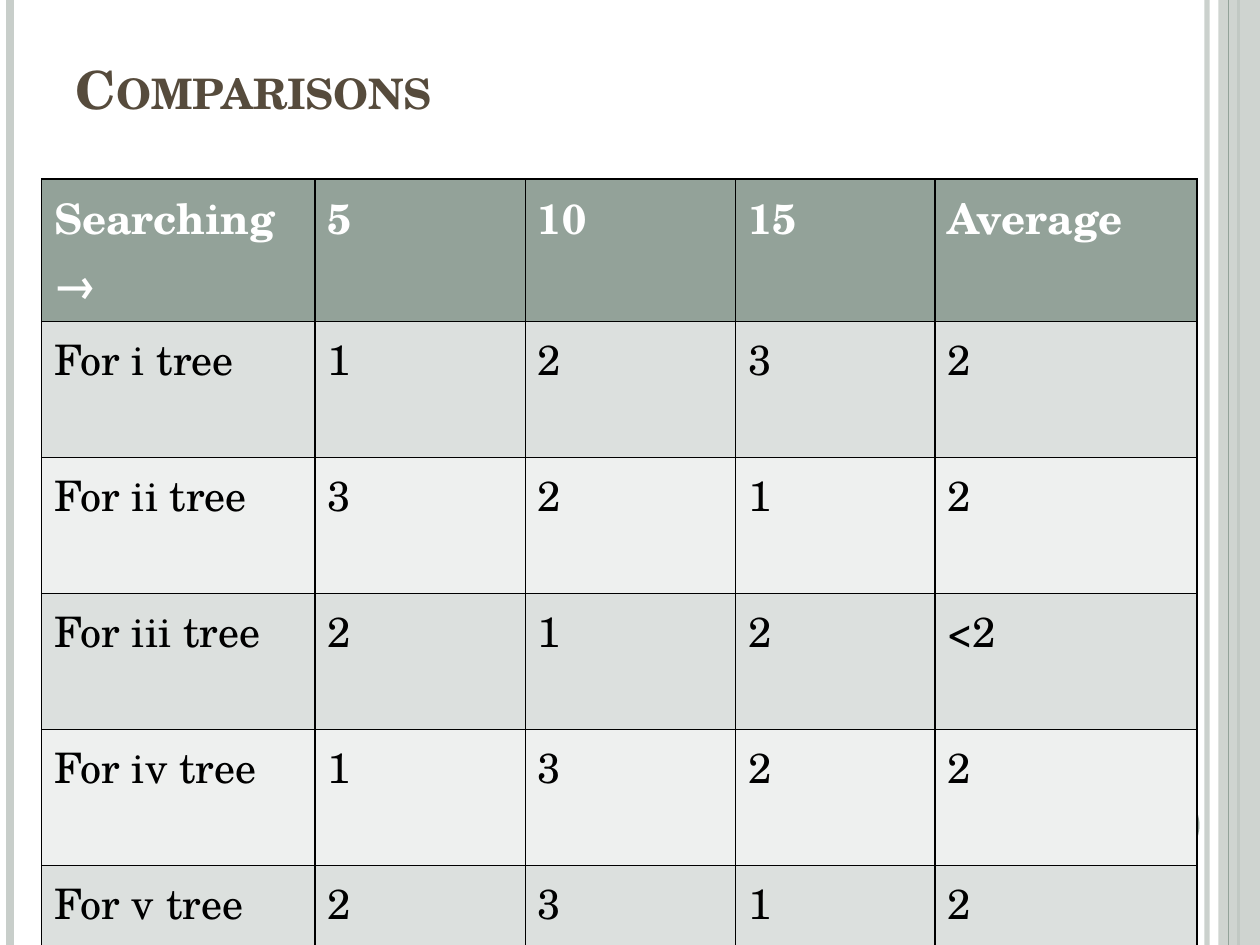
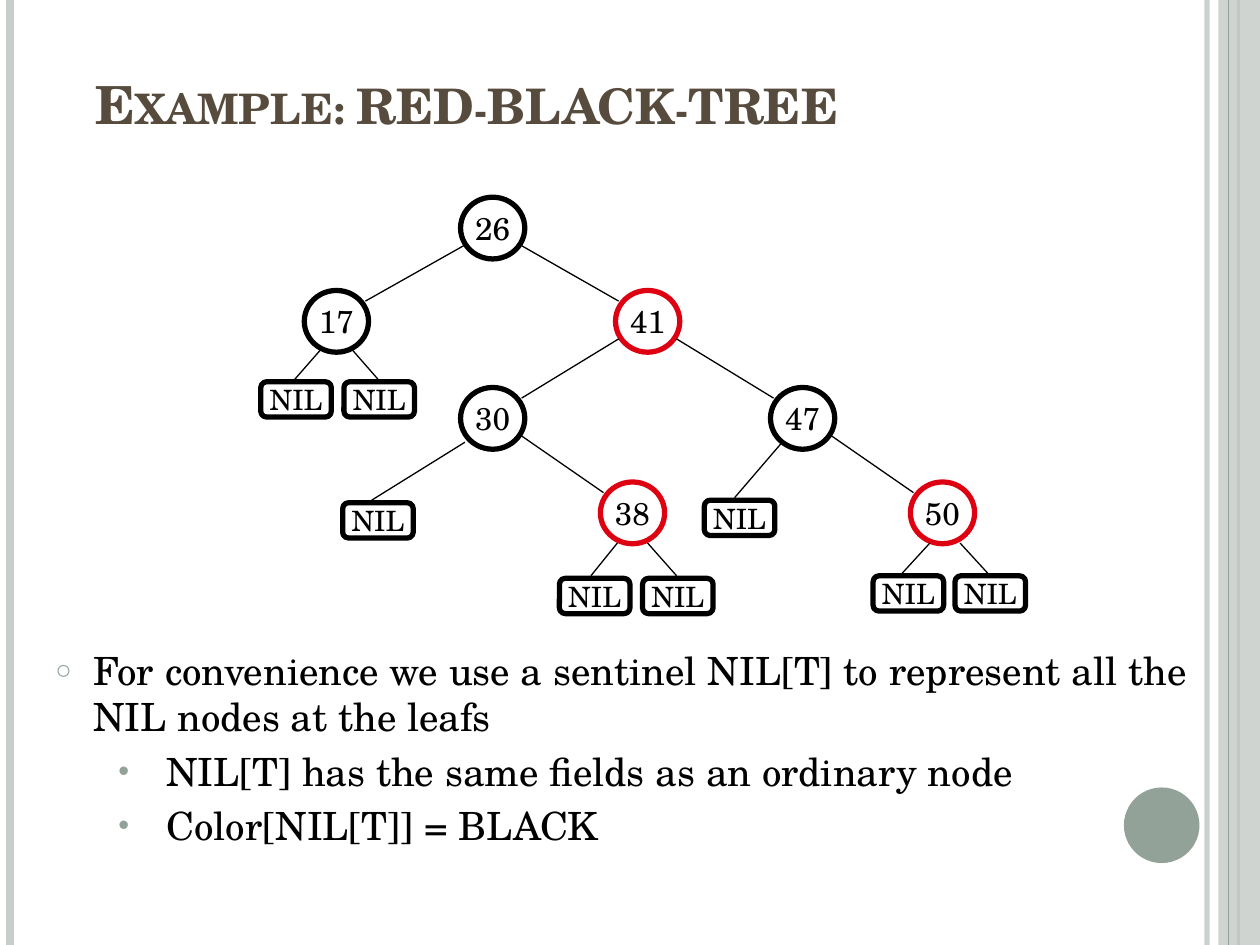
from lxml import etree
from pptx import Presentation
from pptx.dml.color import RGBColor
from pptx.enum.shapes import MSO_CONNECTOR, MSO_SHAPE
from pptx.enum.text import MSO_ANCHOR, MSO_AUTO_SIZE, PP_ALIGN
from pptx.oxml.ns import qn
from pptx.util import Inches, Pt

STRAIGHT = MSO_CONNECTOR.STRAIGHT
RECT = MSO_SHAPE.RECTANGLE
OVAL = MSO_SHAPE.OVAL
ROUNDED = MSO_SHAPE.ROUNDED_RECTANGLE
LEFT, CENTER = PP_ALIGN.LEFT, PP_ALIGN.CENTER
MIDDLE, BOTTOM = MSO_ANCHOR.MIDDLE, MSO_ANCHOR.BOTTOM
NO_FIT = MSO_AUTO_SIZE.NONE

FONT = "TeX Gyre Schola"
BLACK = RGBColor(0x00, 0x00, 0x00)
WHITE = RGBColor(0xFF, 0xFF, 0xFF)
RED = RGBColor(0xDD, 0x01, 0x11)
BROWN = RGBColor(0x56, 0x4B, 0x3C)
SAGE = RGBColor(0x93, 0xA2, 0x99)
MIST = RGBColor(0xC8, 0xCE, 0xCA)
BAND_DARK = RGBColor(0xDC, 0xE0, 0xDE)
BAND_LIGHT = RGBColor(0xEE, 0xF0, 0xEF)

SLIDE_W, SLIDE_H = 10, 7.5
TITLE_ONLY, TITLE_AND_BODY = 5, 1

COLUMN_WIDTHS = [2.17, 1.67, 1.67, 1.58, 2.08]
HEADER_HEIGHT, ROW_HEIGHT = 1.13, 1.08
COMPARISONS = [
    ["Searching→", "5", "10", "15", "Average"],
    ["For i tree", "1", "2", "3", "2"],
    ["For ii tree", "3", "2", "1", "2"],
    ["For iii tree", "2", "1", "2", "<2"],
    ["For iv tree", "1", "3", "2", "2"],
    ["For v tree", "2", "3", "1", "2"],
]

# Tree nodes: key -> centre within the tree's box, outline colour, parent
NODE_SIZE, LEAF_SIZE = (0.51, 0.49), (0.56, 0.28)
NODES = {
    "26": (1.84, 0.24, BLACK, None),
    "17": (0.6, 0.98, BLACK, "26"),
    "41": (3.07, 0.98, RED, "26"),
    "30": (1.84, 1.75, BLACK, "41"),
    "47": (4.3, 1.75, BLACK, "41"),
    "38": (2.95, 2.5, RED, "30"),
    "50": (5.41, 2.5, RED, "47"),
}
# Where an edge leaves its parent and meets its child, from their centres
EDGE_OUT, EDGE_IN = (0.23, 0.14), (0.23, 0.16)
# NIL leaves: centre, parent, edge start from the parent's centre, edge end x
LEAVES = [
    (0.28, 1.6, "17", (-0.12, 0.22), -0.33), (0.94, 1.6, "17", (0.12, 0.22), 0.33),
    (0.93, 2.56, "30", (-0.22, 0.19), -0.96),
    (2.65, 3.16, "38", (-0.12, 0.24), -0.33), (3.31, 3.16, "38", (0.12, 0.24), 0.35),
    (3.8, 2.54, "47", (-0.17, 0.2), -0.54),
    (5.14, 3.14, "50", (-0.1, 0.24), -0.32), (5.79, 3.14, "50", (0.14, 0.24), 0.36),
]

# Sentinel notes: text, level, left margin, hanging, space before, bullet, bullet size
NOTES = [
    ("For convenience we use a sentinel NIL[T] to represent all the NIL nodes at the leafs",
     0, 0.3, 0.3, 6, "○", 70),
    ("NIL[T] has the same fields as an ordinary node", 1, 0.88, 0.38, 4.4, "•", 80),
    ("Color[NIL[T]] = BLACK", 1, 0.88, 0.38, 4.4, "•", 80),
]


def style(font, size, color=BLACK, bold=False):
    font.name, font.size, font.bold = FONT, Pt(size), bold
    font.color.rgb = color


def place(shape, box):
    shape.left, shape.top, shape.width, shape.height = map(Inches, box)


def set_opacity(element, percent):
    color = element.find(".//" + qn("a:srgbClr"))
    etree.SubElement(color, qn("a:alpha"), val=str(percent * 1000))


def add_line(slide, start, end, color, width):
    line = slide.shapes.add_connector(STRAIGHT, *map(Inches, (*start, *end)))
    line.line.color.rgb = color
    line.line.width = Pt(width)
    etree.SubElement(line.element.spPr, qn("a:effectLst"))
    return line


def add_plain_shape(slide, kind, box, fill=None):
    shape = slide.shapes.add_shape(kind, *map(Inches, box))
    shape.shadow.inherit = False
    if fill is None:
        shape.fill.background()
    else:
        shape.fill.solid()
        shape.fill.fore_color.rgb = fill
        shape.line.fill.background()
    return shape


def add_rule(slide, x, color, width):
    return add_line(slide, (x, 0), (x, SLIDE_H), color, width)


def add_frame(slide):
    """Side rules, right band and corner disc shared by all slides."""
    inner_rule = add_rule(slide, 9.58, MIST, 3)
    set_opacity(inner_rule.element, 93)
    add_rule(slide, 0.08, MIST, 4.5)
    add_rule(slide, 9.83, SAGE, 1.5)
    band = add_plain_shape(slide, RECT, (9.67, 0, 0.33, SLIDE_H), MIST)
    set_opacity(band.element, 87)
    add_rule(slide, 9.75, SAGE, 0.75)
    add_plain_shape(slide, OVAL, (8.92, 6.25, 0.6, 0.6), SAGE)


def set_title(slide, box, parts):
    """Small-caps heading built from (text, size) parts."""
    title = slide.shapes.title
    place(title, box)
    frame = title.text_frame
    frame.auto_size, frame.vertical_anchor = NO_FIT, BOTTOM
    heading = frame.paragraphs[0]
    heading.alignment = LEFT
    for text, size in parts:
        run = heading.add_run()
        run.text = text
        style(run.font, size, BROWN, True)
        run.font._element.set("cap", "small")


def add_cell_borders(cell):
    properties = cell._tc.get_or_add_tcPr()
    for side in ("lnL", "lnR", "lnT", "lnB"):
        border = etree.SubElement(properties, qn("a:" + side), w=str(Pt(1)))
        fill = etree.SubElement(border, qn("a:solidFill"))
        etree.SubElement(fill, qn("a:srgbClr"), val=str(BLACK))


def add_comparison_table(slide, left, top):
    heights = [HEADER_HEIGHT] + [ROW_HEIGHT] * (len(COMPARISONS) - 1)
    box = (left, top, sum(COLUMN_WIDTHS), sum(heights))
    table = slide.shapes.add_table(
        len(heights), len(COLUMN_WIDTHS), *map(Inches, box)).table
    for column, width in zip(table.columns, COLUMN_WIDTHS):
        column.width = Inches(width)
    for r, (row, height) in enumerate(zip(COMPARISONS, heights)):
        table.rows[r].height = Inches(height)
        header = r == 0
        background = SAGE if header else BAND_DARK if r % 2 else BAND_LIGHT
        for c, text in enumerate(row):
            cell = table.cell(r, c)
            add_cell_borders(cell)
            cell.fill.solid()
            cell.fill.fore_color.rgb = background
            cell.text = text
            entry = cell.text_frame.paragraphs[0]
            style(entry.font, 24, WHITE if header else BLACK, header)


def add_tree_node(slide, kind, center, size, text, text_size, color):
    (x, y), (width, height) = center, size
    node = add_plain_shape(slide, kind, (x - width / 2, y - height / 2, width, height))
    node.line.color.rgb = color
    node.line.width = Pt(3)
    frame = node.text_frame
    frame.word_wrap, frame.vertical_anchor = False, MIDDLE
    label = frame.paragraphs[0]
    label.text, label.alignment = text, CENTER
    style(label.font, text_size)


def add_tree(slide, left, top):
    centers = {key: (left + x, top + y) for key, (x, y, _, _) in NODES.items()}
    # Numbered nodes and the edges between them
    for key, (_, _, color, parent) in NODES.items():
        x, y = centers[key]
        add_tree_node(slide, OVAL, (x, y), NODE_SIZE, key, 18, color)
        if parent:
            parent_x, parent_y = centers[parent]
            side = 1 if x > parent_x else -1
            start = (parent_x + side * EDGE_OUT[0], parent_y + EDGE_OUT[1])
            end = (x - side * EDGE_IN[0], y - EDGE_IN[1])
            add_line(slide, start, end, BLACK, 0.75)
    # NIL leaves and their edges
    for x, y, parent, (start_x, start_y), end_x in LEAVES:
        center = (left + x, top + y)
        parent_x, parent_y = centers[parent]
        add_tree_node(slide, ROUNDED, center, LEAF_SIZE, "NIL", 16, BLACK)
        add_line(slide, (parent_x + start_x, parent_y + start_y),
                 (parent_x + end_x, center[1] - LEAF_SIZE[1] / 2 - 0.02), BLACK, 0.75)


def set_bullet(paragraph, margin, hanging, mark, percent):
    properties = paragraph._p.get_or_add_pPr()
    properties.set("marL", str(Inches(margin)))
    properties.set("indent", str(-Inches(hanging)))
    color = etree.Element(qn("a:buClr"))
    etree.SubElement(color, qn("a:srgbClr"), val=str(SAGE))
    size = etree.Element(qn("a:buSzPct"), val=str(percent * 1000))
    bullet = etree.Element(qn("a:buChar"), char=mark)
    # Bullet settings come before the paragraph's default font
    defaults = properties.find(qn("a:defRPr"))
    for part in (color, size, bullet):
        defaults.addprevious(part)


def set_notes(slide, box):
    body = slide.placeholders[1]
    place(body, box)
    frame = body.text_frame
    frame.auto_size = NO_FIT
    for i, (text, level, margin, hanging, before, mark, percent) in enumerate(NOTES):
        note = frame.add_paragraph() if i else frame.paragraphs[0]
        note.text, note.level = text, level
        note.space_before = Pt(before)
        style(note.font, 22.2)
        set_bullet(note, margin, hanging, mark, percent)


def build_comparisons(prs):
    slide = prs.slides.add_slide(prs.slide_layouts[TITLE_ONLY])
    add_frame(slide)
    set_title(slide, (0.5, 0.33, 8.17, 0.67), [("Comparisons", 30)])
    add_comparison_table(slide, 0.33, 1.42)


def build_red_black_tree(prs):
    slide = prs.slides.add_slide(prs.slide_layouts[TITLE_AND_BODY])
    add_frame(slide)
    set_title(slide, (0.66, 0.43, 6.62, 0.69), [("Example: ", 30), ("RED-BLACK-TREE", 28)])
    set_notes(slide, (0.34, 5.08, 9.34, 1.62))
    add_tree(slide, 2.07, 1.57)


def main():
    prs = Presentation()
    prs.slide_width, prs.slide_height = Inches(SLIDE_W), Inches(SLIDE_H)
    build_comparisons(prs)
    build_red_black_tree(prs)
    prs.save("out.pptx")


if __name__ == "__main__":
    main()
